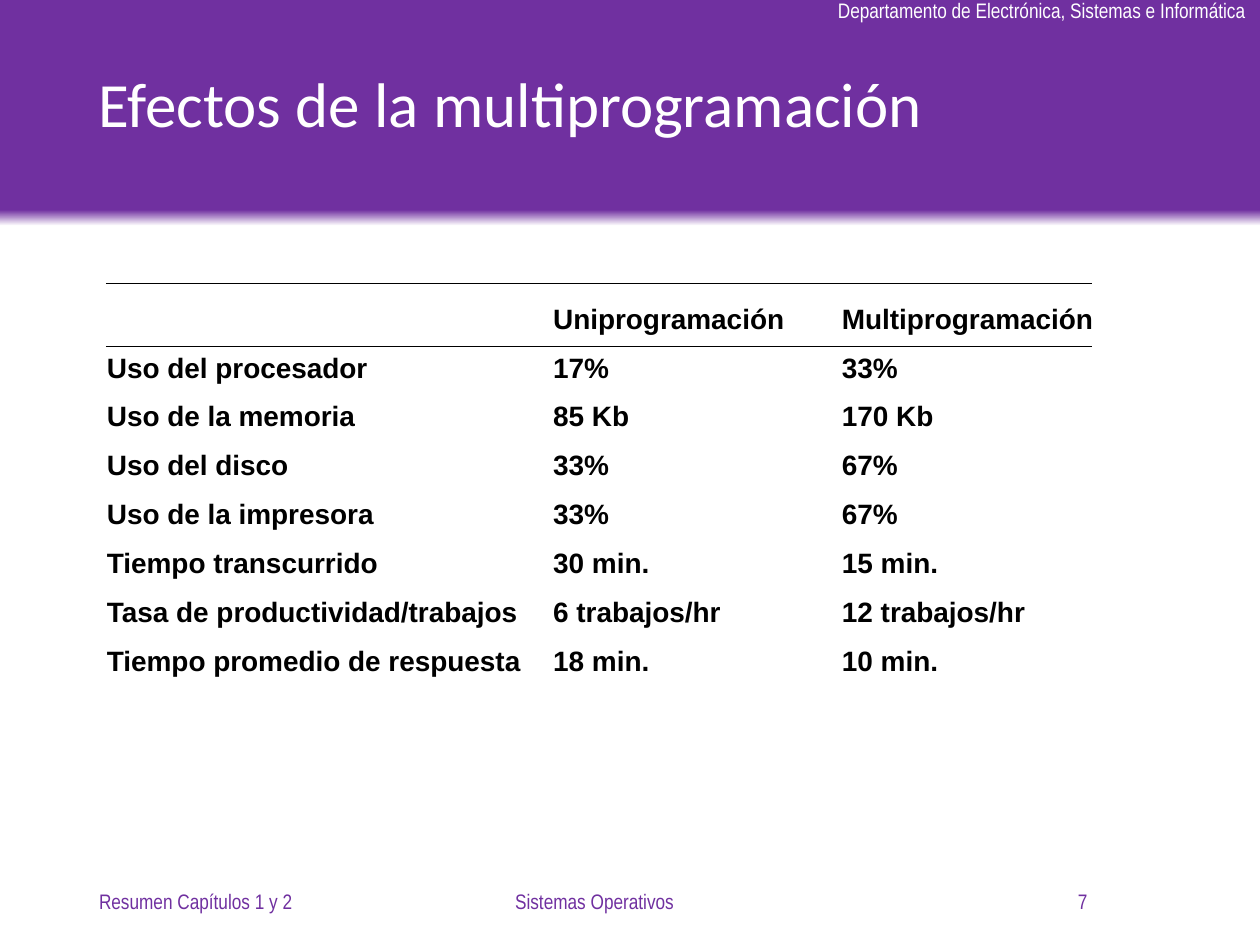
from lxml import etree
from pptx import Presentation
from pptx.dml.color import RGBColor
from pptx.enum.shapes import MSO_CONNECTOR, MSO_SHAPE
from pptx.enum.text import MSO_ANCHOR, MSO_AUTO_SIZE, PP_ALIGN
from pptx.oxml.ns import qn
from pptx.util import Pt

LEFT, CENTER, RIGHT = PP_ALIGN.LEFT, PP_ALIGN.CENTER, PP_ALIGN.RIGHT
TOP, MIDDLE = MSO_ANCHOR.TOP, MSO_ANCHOR.MIDDLE
RECTANGLE, STRAIGHT = MSO_SHAPE.RECTANGLE, MSO_CONNECTOR.STRAIGHT
FIT_SHAPE = MSO_AUTO_SIZE.SHAPE_TO_FIT_TEXT

# Content
DEPARTMENT = "Departamento de Electrónica, Sistemas e Informática"
TITLE = "Efectos de la multiprogramación"
ROWS = [
    ("", "Uniprogramación", "Multiprogramación"),
    ("Uso del procesador", "17%", "33%"),
    ("Uso de la memoria", "85 Kb", "170 Kb"),
    ("Uso del disco", "33%", "67%"),
    ("Uso de la impresora", "33%", "67%"),
    ("Tiempo transcurrido", "30 min.", "15 min."),
    ("Tasa de productividad/trabajos", "6 trabajos/hr", "12 trabajos/hr"),
    ("Tiempo promedio de respuesta", "18 min.", "10 min."),
]
# Footer: text, left, width, alignment
FOOTERS = [
    ("Resumen Capítulos 1 y 2", 49.5, 162, LEFT),
    ("Sistemas Operativos", 218, 243.5, CENTER),
    ("7", 466.5, 162, RIGHT),
]

# Theme and layout, in points
PURPLE, WHITE, BLACK = "7030A0", "FFFFFF", "000000"
THEME = {
    "department": {"name": "Arial Narrow", "size": 12, "color": WHITE},
    "title": {"name": "Calibri", "size": 36, "color": WHITE},
    "row": {"name": "Arial", "size": 16, "color": BLACK, "bold": True},
    "footer": {"name": "Arial Narrow", "size": 12, "color": PURPLE},
}
BAND_STOPS = [(0, WHITE), (7, PURPLE), (100, PURPLE)]
PAGE_WIDTH, PAGE_HEIGHT, BAND_HEIGHT = 720, 540, 129
COLUMN_TABS = (255, 420)
ROW_GAP = 8.8
RULE_LEFT, RULE_RIGHT, RULE_TOPS = 60.5, 624, (162, 198)
FOOTER_TOP, FOOTER_HEIGHT = 500.5, 29


def style(span, role):
    for key, value in THEME[role].items():
        if key == "color":
            span.font.color.rgb = RGBColor.from_string(value)
        else:
            setattr(span.font, key, Pt(value) if key == "size" else value)


def add_text(page, lines, role, area, align=LEFT, tabs=(), gap=None,
             spacing=None, **frame_format):
    box = page.shapes.add_textbox(*map(Pt, area))
    frame = box.text_frame
    for key, value in {"word_wrap": True, **frame_format}.items():
        setattr(frame, key, value)
    for index, line in enumerate(lines):
        para = frame.paragraphs[0] if index == 0 else frame.add_paragraph()
        para.alignment = align
        if spacing:
            para.line_spacing = spacing
        if gap and index:
            para.space_before = Pt(gap)
        if tabs:
            properties = para._p.get_or_add_pPr()
            tab_list = etree.SubElement(properties, qn("a:tabLst"))
            for stop in tabs:
                etree.SubElement(tab_list, qn("a:tab"), pos=str(Pt(stop)), algn="l")
        span = para.add_run()
        span.text = line
        style(span, role)


def add_band(page):
    band = page.shapes.add_shape(RECTANGLE, 0, 0, Pt(PAGE_WIDTH), Pt(BAND_HEIGHT))
    band.shadow.inherit = False
    band.line.fill.background()
    band.fill.gradient()
    band.fill.gradient_angle = 90
    stops = band._element.spPr.find(".//" + qn("a:gsLst"))
    for stop in list(stops):
        stops.remove(stop)
    for percent, color in BAND_STOPS:
        stop = etree.SubElement(stops, qn("a:gs"), pos=str(percent * 1000))
        etree.SubElement(stop, qn("a:srgbClr"), val=color)


def add_rule(page, top):
    rule = page.shapes.add_connector(
        STRAIGHT, Pt(RULE_LEFT), Pt(top), Pt(RULE_RIGHT), Pt(top))
    rule.line.color.rgb = RGBColor.from_string(BLACK)
    rule.line.width = Pt(1)
    etree.SubElement(rule._element.spPr, qn("a:effectLst"))


def main():
    deck = Presentation()
    deck.slide_width, deck.slide_height = Pt(PAGE_WIDTH), Pt(PAGE_HEIGHT)
    page = deck.slides.add_slide(deck.slide_layouts[6])

    # Header band with department and title
    add_band(page)
    add_text(page, [DEPARTMENT], "department", (470, -5, 250.5, 21.5), CENTER,
             word_wrap=False, auto_size=FIT_SHAPE)
    add_text(page, [TITLE], "title", (49.5, 11, 620.5, 100), spacing=0.9,
             vertical_anchor=MIDDLE)

    # Tabbed comparison with rules around its heading
    add_text(page, ["\t".join(row) for row in ROWS], "row", (54, 168.5, 594, 228),
             tabs=COLUMN_TABS, gap=ROW_GAP, vertical_anchor=TOP,
             auto_size=FIT_SHAPE)
    for top in RULE_TOPS:
        add_rule(page, top)

    # Footer
    for text, left, width, align in FOOTERS:
        add_text(page, [text], "footer", (left, FOOTER_TOP, width, FOOTER_HEIGHT),
                 align, vertical_anchor=MIDDLE)

    deck.save("out.pptx")


if __name__ == "__main__":
    main()
